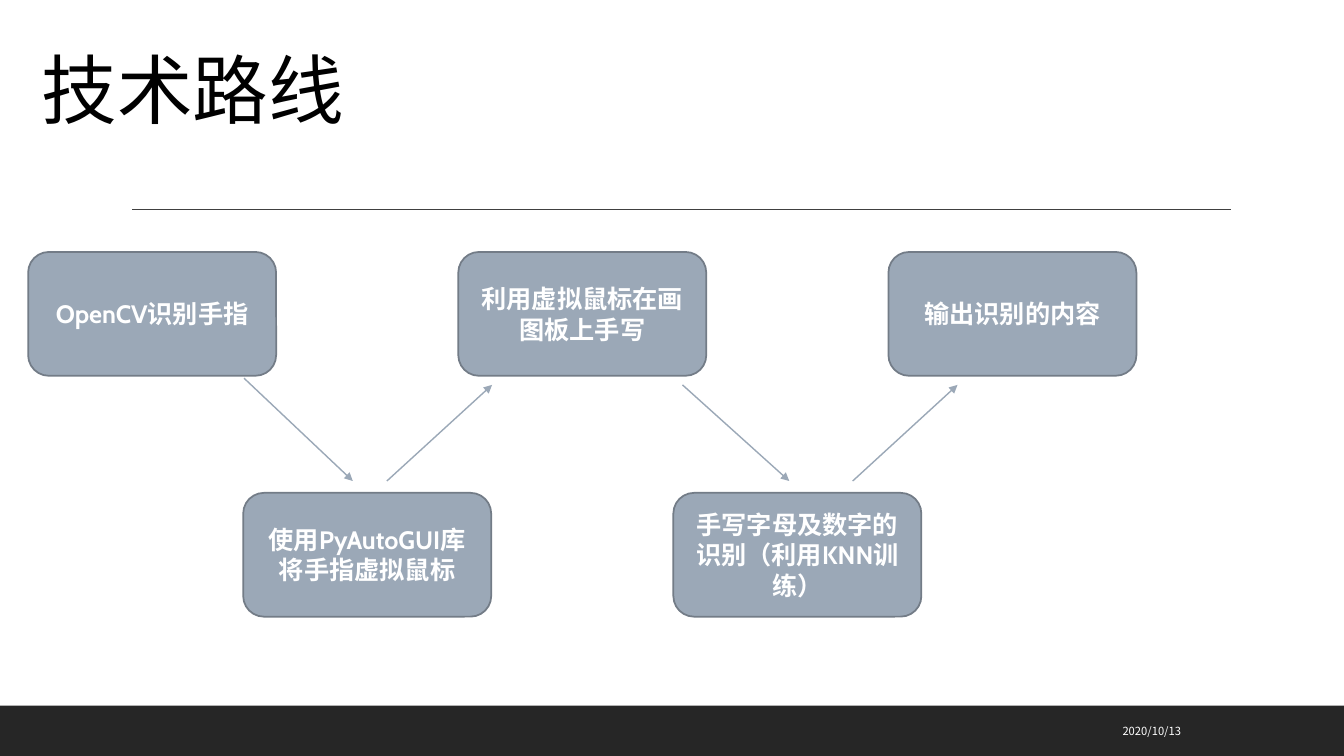
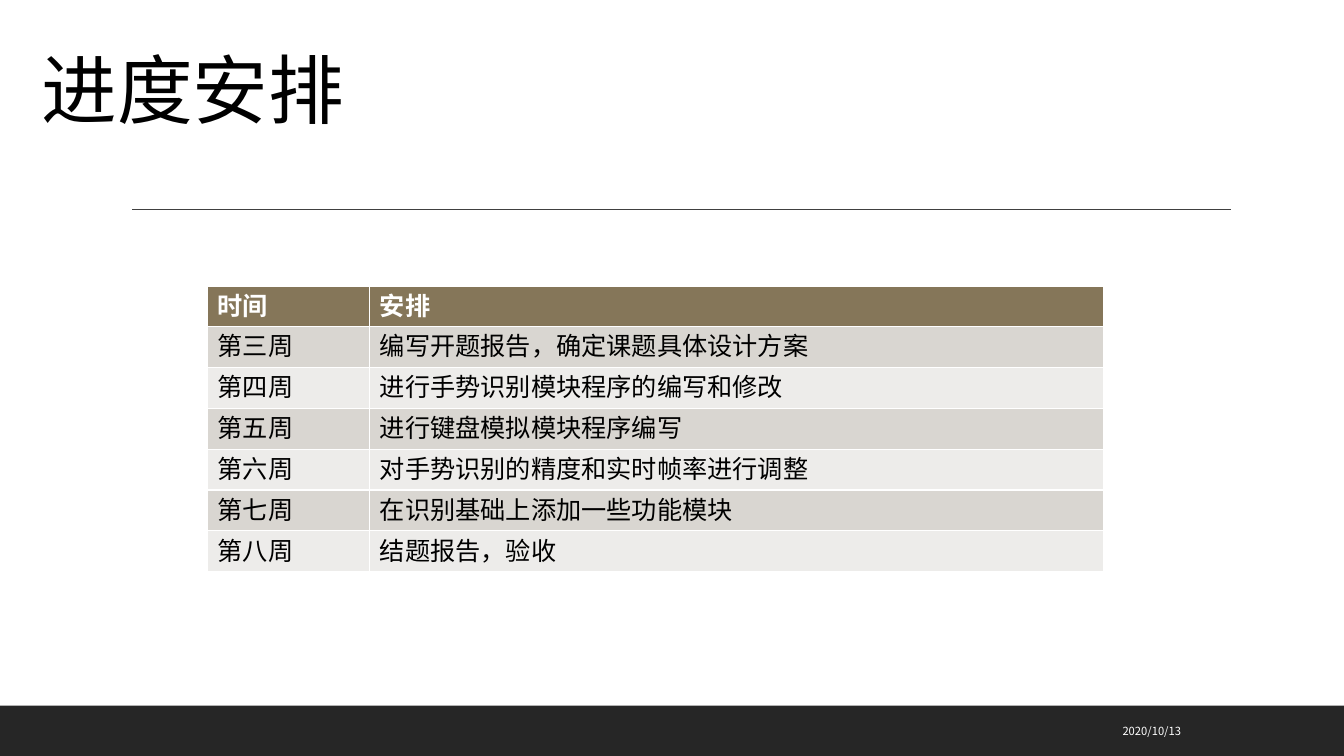
"""Build a two-slide project plan: technical route and schedule."""
from dataclasses import dataclass

from lxml import etree
from pptx import Presentation
from pptx.dml.color import RGBColor
from pptx.enum.shapes import MSO_CONNECTOR, MSO_SHAPE
from pptx.enum.text import MSO_ANCHOR, MSO_AUTO_SIZE, PP_ALIGN
from pptx.oxml.ns import qn
from pptx.util import Cm, Pt

RECTANGLE = MSO_SHAPE.RECTANGLE
ROUNDED = MSO_SHAPE.ROUNDED_RECTANGLE
STRAIGHT = MSO_CONNECTOR.STRAIGHT
TOP, MIDDLE = MSO_ANCHOR.TOP, MSO_ANCHOR.MIDDLE
LEFT, CENTER, RIGHT = PP_ALIGN.LEFT, PP_ALIGN.CENTER, PP_ALIGN.RIGHT
NO_FIT = MSO_AUTO_SIZE.NONE


@dataclass(frozen=True)
class Theme:
    title_font: str = "Noto Sans CJK SC"
    body_font: str = "Cabin"
    title_size: float = 54
    body_size: float = 18
    date_size: float = 8
    black: RGBColor = RGBColor.from_string("000000")
    white: RGBColor = RGBColor.from_string("FFFFFF")
    band: RGBColor = RGBColor.from_string("262626")
    rule: RGBColor = RGBColor.from_string("404040")
    step: RGBColor = RGBColor.from_string("9BA8B7")
    step_edge: RGBColor = RGBColor.from_string("737C87")
    header: RGBColor = RGBColor.from_string("857659")
    odd_row: RGBColor = RGBColor.from_string("D9D6D1")
    even_row: RGBColor = RGBColor.from_string("EDECEA")


theme = Theme()


def add_span(para, text, font, size, color, bold=False):
    span = para.add_run()
    span.text = text
    span.font.name = font
    span.font.size = Pt(size)
    span.font.bold = bold
    span.font.color.rgb = color
    etree.SubElement(span._r.get_or_add_rPr(), qn("a:ea"), typeface=font)


def add_line(page, start, end, color, arrow=False):
    line = page.shapes.add_connector(STRAIGHT, *map(Cm, start + end))
    line.line.color.rgb = color
    line.line.width = Pt(1)
    properties = line.element.spPr
    if arrow:
        etree.SubElement(properties.find(qn("a:ln")), qn("a:tailEnd"), type="triangle")
    etree.SubElement(properties, qn("a:effectLst"))
    return line


deck = Presentation()
deck.slide_width = Cm(33.87)
deck.slide_height = Cm(19.05)
layout = deck.slide_layouts[5]

for holder in list(layout.placeholders):
    if holder.placeholder_format.idx:
        layout.shapes.element.remove(holder.element)
    else:
        holder.left, holder.top, holder.width, holder.height = map(Cm, (0.79, 1.22, 16.94, 2.57))

route, schedule = [deck.slides.add_slide(layout) for _ in range(2)]

band = route.shapes.add_shape(RECTANGLE, 0, Cm(17.78), deck.slide_width, Cm(1.27))
band.shadow.inherit = False
band.fill.solid()
band.fill.fore_color.rgb = theme.band
band.line.fill.background()
rule = add_line(route, (3.33, 5.28), (31.01, 5.28), theme.rule)
for shared in (band, rule):
    layout.shapes.element.append(shared.element)

for page, heading in ((route, "技术路线"), (schedule, "进度安排")):
    frame = page.shapes.title.text_frame
    frame.auto_size = NO_FIT
    frame.vertical_anchor = TOP
    para = frame.paragraphs[0]
    para.alignment = LEFT
    para.line_spacing = 0.9
    add_span(para, heading, theme.title_font, theme.title_size, theme.black)

    frame = page.shapes.add_textbox(Cm(22.83), Cm(17.91), Cm(7.19), Cm(1.02)).text_frame
    frame.word_wrap = True
    frame.vertical_anchor = MIDDLE
    para = frame.paragraphs[0]
    para.alignment = RIGHT
    add_span(para, "2020/10/13", theme.title_font, theme.date_size, theme.white)

steps = (
    "OpenCV识别手指",
    "使用PyAutoGUI库将手指虚拟鼠标",
    "利用虚拟鼠标在画图板上手写",
    "手写字母及数字的识别（利用KNN训练）",
    "输出识别的内容",
)
row_tops = (6.35, 12.42)
for index, text in enumerate(steps):
    left, top = 0.71 + 5.42 * index, row_tops[index % 2]
    box = route.shapes.add_shape(ROUNDED, Cm(left), Cm(top), Cm(6.25), Cm(3.12))
    box.shadow.inherit = False
    box.fill.solid()
    box.fill.fore_color.rgb = theme.step
    box.line.color.rgb = theme.step_edge
    box.line.width = Pt(1.25)
    frame = box.text_frame
    frame.word_wrap = True
    frame.vertical_anchor = MIDDLE
    para = frame.paragraphs[0]
    para.alignment = CENTER
    add_span(para, text, theme.body_font, theme.body_size, theme.white, bold=True)

arrows = (
    ((6.15, 9.53), (8.89, 12.12)),
    ((9.75, 12.12), (12.4, 9.7)),
    ((17.2, 9.7), (19.89, 12.12)),
    ((21.49, 12.12), (24.13, 9.7)),
)
for start, end in arrows:
    add_line(route, start, end, theme.step, arrow=True)

plan = (
    ("时间", "安排"),
    ("第三周", "编写开题报告，确定课题具体设计方案"),
    ("第四周", "进行手势识别模块程序的编写和修改"),
    ("第五周", "进行键盘模拟模块程序编写"),
    ("第六周", "对手势识别的精度和实时帧率进行调整"),
    ("第七周", "在识别基础上添加一些功能模块"),
    ("第八周", "结题报告，验收"),
)
table = schedule.shapes.add_table(
    len(plan), 2, Cm(5.23), Cm(7.21), Cm(22.58), Cm(7.2)
).table
for column, width in zip(table.columns, (4.09, 18.49)):
    column.width = Cm(width)
for number, entries in enumerate(plan):
    is_header = number == 0
    table.rows[number].height = Cm(1 if is_header else 1.03)
    fill = theme.header if is_header else (theme.even_row, theme.odd_row)[number % 2]
    color = theme.white if is_header else theme.black
    for cell, text in zip(table.rows[number].cells, entries):
        cell.fill.solid()
        cell.fill.fore_color.rgb = fill
        para = cell.text_frame.paragraphs[0]
        add_span(para, text, theme.body_font, theme.body_size, color, bold=is_header)

deck.save("out.pptx")
